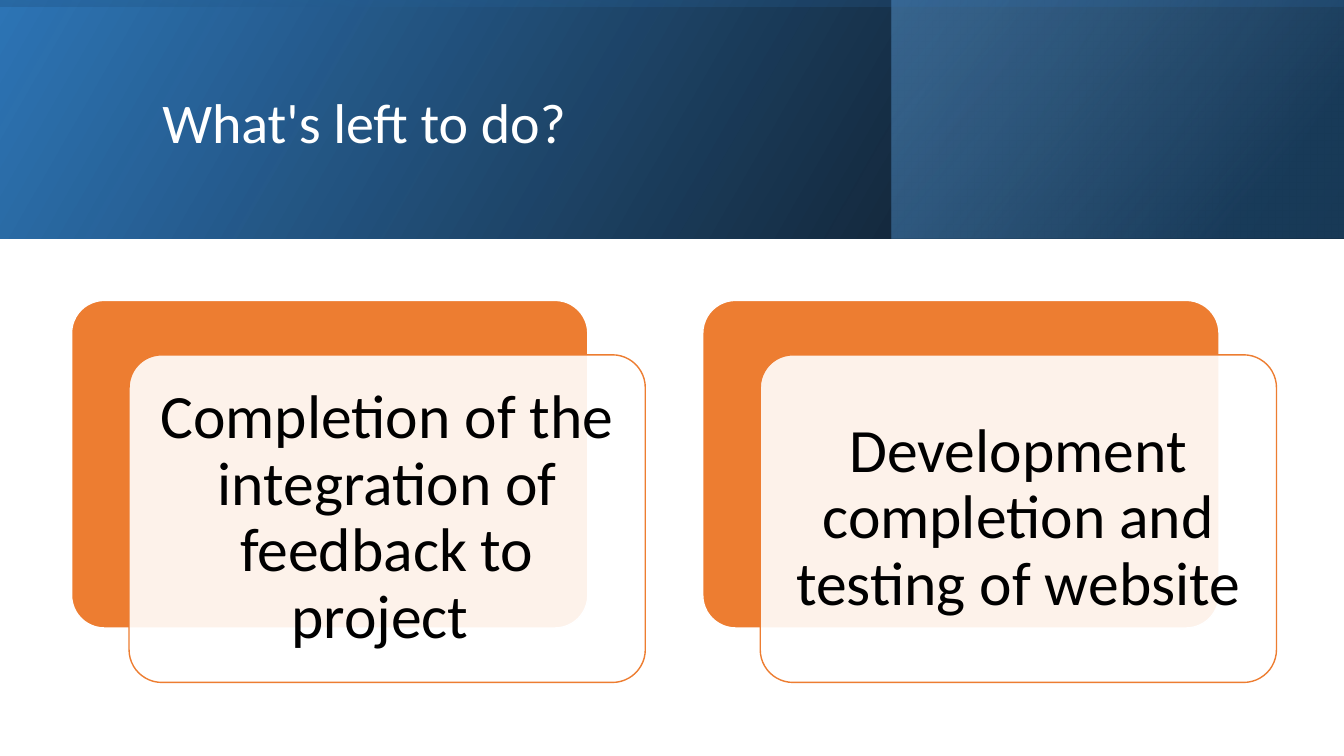
import pptx
import pptx.util
import pptx.dml.color
import pptx.enum.shapes
import pptx.enum.text
import pptx.oxml.ns
import lxml.etree
from dataclasses import dataclass
from pptx.util import Inches


@dataclass(frozen=True)
class Theme:
    font: str = "Calibri"
    title_size: int = 40
    card_size: int = 44
    black: str = "000000"
    white: str = "FFFFFF"
    orange: str = "ED7D31"
    blue: str = "2E75B6"
    navy: str = "1F4E79"
    sky: str = "5B9BD5"


THEME = Theme()


def rgb(color):
    return pptx.dml.color.RGBColor.from_string(color)


def set_alpha(holder, percent):
    clr = next(holder.iter(pptx.oxml.ns.qn("a:srgbClr")))
    alpha = lxml.etree.SubElement(clr, pptx.oxml.ns.qn("a:alpha"))
    alpha.set("val", str(percent * 1000))


def add_text(tf, text, size, color, align):
    tf.word_wrap = True
    tf.vertical_anchor = pptx.enum.text.MSO_ANCHOR.MIDDLE
    p = tf.paragraphs[0]
    p.alignment = align
    p.line_spacing = 0.9
    r = p.add_run()
    r.text = text
    r.font.name = THEME.font
    r.font.size = pptx.util.Pt(size)
    r.font.color.rgb = rgb(color)


def add_band(s, left, top, width, height, stops, angle, rotation=0):
    sp = s.shapes.add_shape(pptx.enum.shapes.MSO_SHAPE.RECTANGLE,
                            Inches(left), Inches(top), Inches(width), Inches(height))
    sp.shadow.inherit = False
    sp.line.fill.background()
    sp.rotation = rotation
    sp.element.spPr.find(pptx.oxml.ns.qn("a:xfrm")).set("flipH", "1")
    sp.fill.gradient()
    sp.fill.gradient_angle = 360 - angle
    gs_list = sp.element.spPr.iter(pptx.oxml.ns.qn("a:gs"))
    for stop, gs, (position, color, alpha) in zip(sp.fill.gradient_stops, gs_list, stops):
        stop.position = position / 100
        stop.color.rgb = rgb(color)
        set_alpha(gs, alpha)


def add_panel(s, left, top, fill, line):
    sp = s.shapes.add_shape(pptx.enum.shapes.MSO_SHAPE.ROUNDED_RECTANGLE,
                            Inches(left), Inches(top), Inches(5.12), Inches(3.25))
    sp.adjustments[0] = 0.1
    sp.shadow.inherit = False
    sp.fill.solid()
    sp.fill.fore_color.rgb = rgb(fill)
    sp.line.color.rgb = rgb(line)
    sp.line.width = pptx.util.Pt(1)
    return sp


def add_card(s, left, top, text):
    add_panel(s, left, top, THEME.orange, THEME.white)
    sp = add_panel(s, left + 0.57, top + 0.54, THEME.white, THEME.orange)
    set_alpha(sp.element.spPr, 90)
    tf = sp.text_frame
    tf.margin_left = tf.margin_right = tf.margin_top = tf.margin_bottom = Inches(0.18)
    add_text(tf, text, THEME.card_size, THEME.black, pptx.enum.text.PP_ALIGN.CENTER)


def add_title(s, text):
    sp = s.shapes.title
    sp.left, sp.top, sp.width, sp.height = map(Inches, (1.51, 0.38, 10.63, 1.72))
    add_text(sp.text_frame, text, THEME.title_size, THEME.white, pptx.enum.text.PP_ALIGN.LEFT)
    sp.element.getparent().append(sp.element)


def main():
    prs = pptx.Presentation()
    prs.slide_width, prs.slide_height = Inches(13.33), Inches(7.5)
    s = prs.slides.add_slide(prs.slide_layouts.get_by_name("Title Only"))
    add_band(s, 0, 0, 13.33, 2.37, [(0, THEME.black, 96), (100, THEME.blue, 100)], 330)
    add_band(s, 8.84, 0, 4.49, 2.37, [(19, THEME.navy, 68), (100, THEME.sky, 48)], 320)
    add_band(s, 5.48, -5.48, 2.37, 13.33, [(23, THEME.blue, 16), (99, THEME.black, 45)], 350, 270)
    add_title(s, "What's left to do?")
    cards = ["Completion of the integration of feedback to project ",
             "Development completion and testing of website"]
    for i, text in enumerate(cards):
        add_card(s, 0.71 + i * 6.26, 2.98, text)
    prs.save("out.pptx")


if __name__ == "__main__":
    main()
